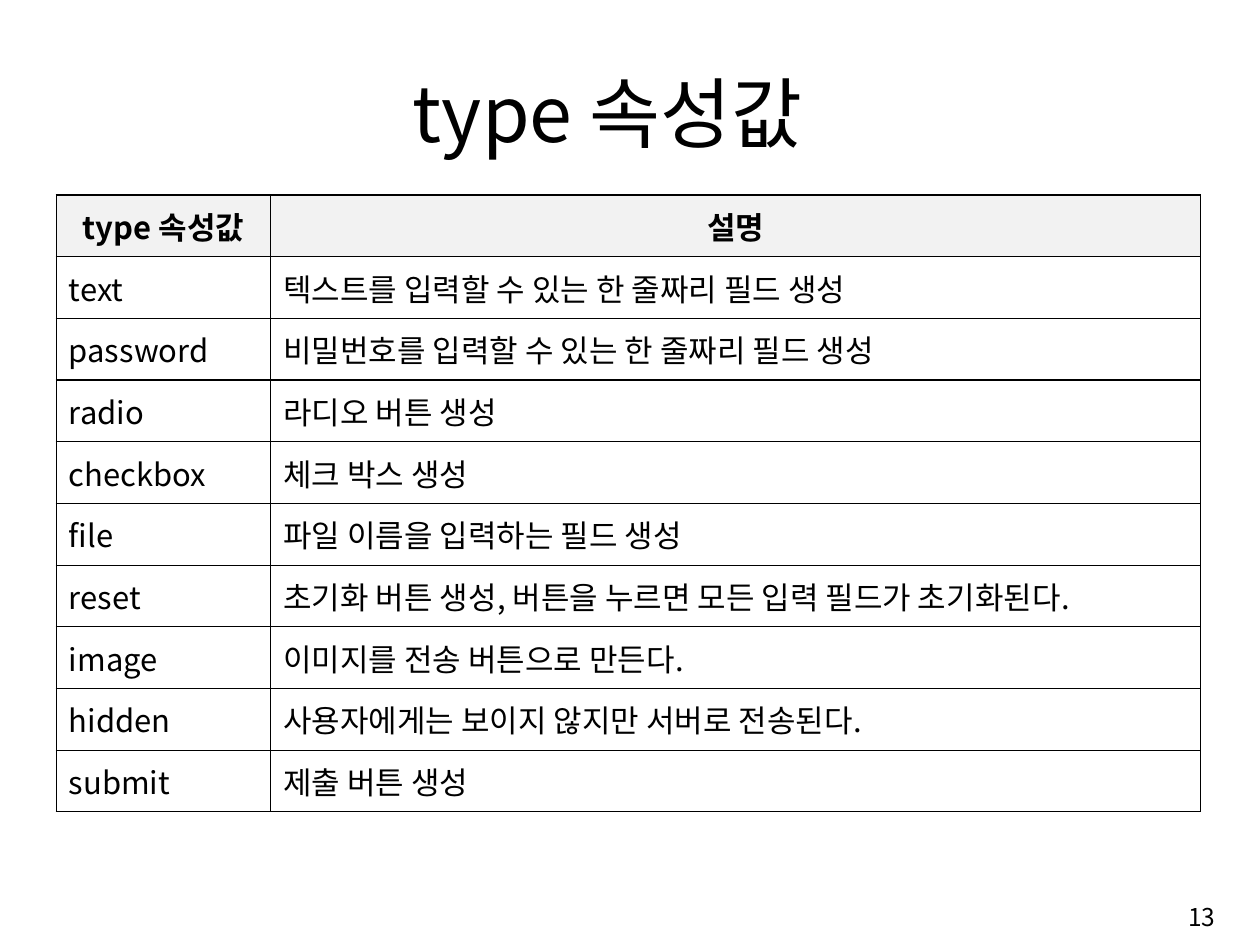
"""Build a slide with a table of input type attribute values."""
from dataclasses import dataclass

from lxml.etree import SubElement
from pptx import Presentation
from pptx.dml.color import RGBColor as Rgb
from pptx.enum.text import MSO_ANCHOR as Anchor, PP_ALIGN as Align
from pptx.oxml import parse_xml
from pptx.oxml.ns import nsdecls, qn
from pptx.util import Inches, Pt


@dataclass(frozen=True)
class Theme:
    font: str = "Noto Sans CJK KR"
    ink: str = "000000"
    paper: str = "FFFFFF"
    header: str = "F2F2F2"
    title_size: float = 57.2
    body_size: float = 23
    number_size: float = 18.2
    rule: float = 1
    side_inset: float = 0.13
    end_inset: float = 0.06


def write(frame, text, size, align, bold=False):
    frame.text = text
    paragraph = frame.paragraphs[0]
    paragraph.alignment = align
    for run in paragraph.runs:
        run.font.name = theme.font
        run.font.size = Pt(size)
        run.font.bold = bold
        run.font.color.rgb = Rgb.from_string(theme.ink)
        SubElement(run.font._element, qn("a:ea"), typeface=theme.font)


def add_line(left, top, width, height, text, size, align, anchor):
    frame = slide.shapes.add_textbox(
        Inches(left), Inches(top), Inches(width), Inches(height)).text_frame
    frame.word_wrap = True
    frame.vertical_anchor = anchor
    frame.margin_left = frame.margin_right = Inches(theme.side_inset)
    frame.margin_top = frame.margin_bottom = Inches(theme.end_inset)
    write(frame, text, size, align)


theme = Theme()
deck = Presentation()
deck.slide_width, deck.slide_height = Inches(12.99), Inches(9.74)
slide = deck.slides.add_slide(deck.slide_layouts[6])

add_line(1.05, 0.61, 10.61, 1.08, "type 속성값 ",
         theme.title_size, Align.CENTER, Anchor.BOTTOM)

entries = [
    ("type 속성값", "설명"),
    ("text", "텍스트를 입력할 수 있는 한 줄짜리 필드 생성"),
    ("password", "비밀번호를 입력할 수 있는 한 줄짜리 필드 생성"),
    ("radio", "라디오 버튼 생성"),
    ("checkbox", "체크 박스 생성"),
    ("file", "파일 이름을 입력하는 필드 생성"),
    ("reset", "초기화 버튼 생성, 버튼을 누르면 모든 입력 필드가 초기화된다."),
    ("image", "이미지를 전송 버튼으로 만든다."),
    ("hidden", "사용자에게는 보이지 않지만 서버로 전송된다."),
    ("submit", "제출 버튼 생성"),
]
column_widths = (2.21, 9.59)
attributes = slide.shapes.add_table(
    len(entries), len(column_widths), Inches(0.58), Inches(2.01),
    Inches(sum(column_widths)), Inches(6.36)).table
attributes.horz_banding = False
for column, width in zip(attributes.columns, column_widths):
    column.width = Inches(width)

for row, entry in enumerate(entries):
    heading = row == 0
    for column, text in enumerate(entry):
        cell = attributes.cell(row, column)
        cell.vertical_anchor = Anchor.MIDDLE
        cell.margin_left = cell.margin_right = Inches(theme.side_inset)
        cell.margin_top = cell.margin_bottom = Inches(theme.end_inset)
        write(cell.text_frame, text, theme.body_size,
              Align.CENTER if heading else Align.LEFT, heading)
        cell.fill.solid()
        cell.fill.fore_color.rgb = Rgb.from_string(
            theme.header if heading else theme.paper)
        for position, edge in enumerate(("lnL", "lnR", "lnT", "lnB")):
            border = parse_xml(
                f'<a:{edge} {nsdecls("a")} w="{Pt(theme.rule)}"><a:solidFill>'
                f'<a:srgbClr val="{theme.ink}"/></a:solidFill></a:{edge}>')
            cell._tc.get_or_add_tcPr().insert(position, border)

add_line(9.98, 9.15, 2.68, 0.6, "13",
         theme.number_size, Align.RIGHT, Anchor.MIDDLE)

deck.save("out.pptx")
